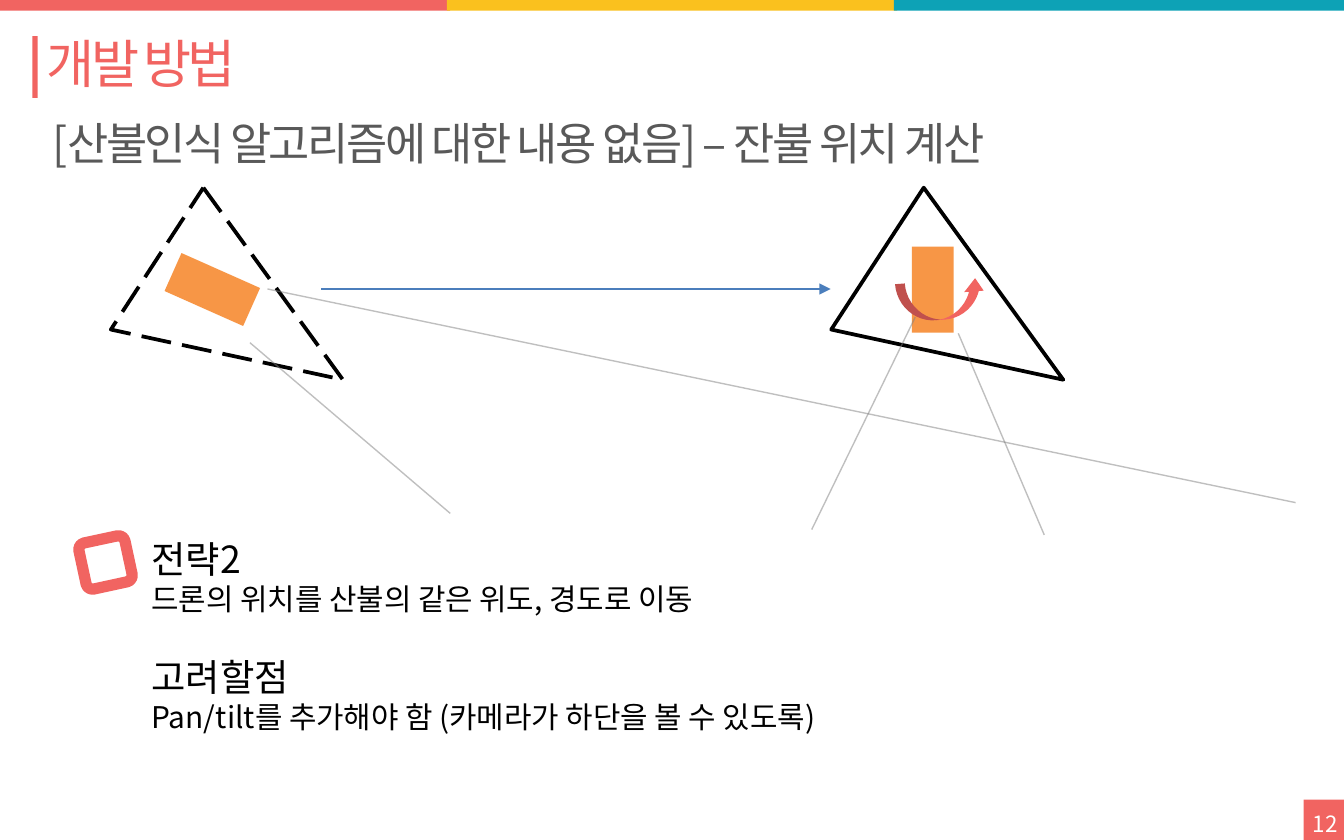
from dataclasses import dataclass
from typing import Optional

from lxml.etree import SubElement
from pptx import Presentation
from pptx.dml.color import RGBColor
from pptx.enum.dml import MSO_LINE
from pptx.enum.shapes import MSO_CONNECTOR, MSO_SHAPE
from pptx.enum.text import MSO_ANCHOR, MSO_AUTO_SIZE, PP_ALIGN
from pptx.oxml.ns import qn
from pptx.util import Inches, Pt

FONT = "Noto Sans CJK KR"
CORAL = RGBColor(0xF1, 0x64, 0x61)
YELLOW = RGBColor(0xFA, 0xC1, 0x1E)
TEAL = RGBColor(0x0D, 0xA2, 0xB6)
ORANGE = RGBColor(0xF7, 0x96, 0x46)
BLUE = RGBColor(0x4B, 0x7E, 0xBC)
GRAY = RGBColor(0x80, 0x80, 0x80)
DARK_GRAY = RGBColor(0x59, 0x59, 0x59)
BLACK = RGBColor(0, 0, 0)
WHITE = RGBColor(0xFF, 0xFF, 0xFF)


@dataclass
class Box:
    left: float
    top: float
    width: float
    height: float


@dataclass
class Line:
    text: str
    size: float
    color: RGBColor = BLACK
    tracking: float = 0
    before: float = 0


@dataclass
class Drone:
    left: float
    camera_angle: float
    dash: Optional[MSO_LINE] = None


@dataclass
class Ray:
    x1: float
    y1: float
    x2: float
    y2: float


def add_shape(s, kind: MSO_SHAPE, box: Box, fill: Optional[RGBColor] = None,
              line: Optional[RGBColor] = None, width: float = 0, rotation: float = 0):
    sp = s.shapes.add_shape(kind, Inches(box.left), Inches(box.top),
                            Inches(box.width), Inches(box.height))
    sp.shadow.inherit = False
    sp.rotation = rotation
    if fill is None:
        sp.fill.background()
    else:
        sp.fill.solid()
        sp.fill.fore_color.rgb = fill
    if line is None:
        sp.line.fill.background()
    else:
        sp.line.color.rgb = line
        sp.line.width = Pt(width)
    return sp


def add_text(s, box: Box, lines: list[Line], wrap: bool = True):
    sp = s.shapes.add_textbox(Inches(box.left), Inches(box.top),
                              Inches(box.width), Inches(box.height))
    tf = sp.text_frame
    tf.word_wrap = wrap
    tf.auto_size = MSO_AUTO_SIZE.SHAPE_TO_FIT_TEXT
    for i, line in enumerate(lines):
        p = tf.add_paragraph() if i else tf.paragraphs[0]
        p.text = line.text
        if line.before:
            p.space_before = Pt(line.before)
        r = p.runs[0]
        r.font.size = Pt(line.size)
        r.font.color.rgb = line.color
        r.font.name = FONT
        rpr = r.font._element
        SubElement(rpr, qn("a:ea")).set("typeface", FONT)
        if line.tracking:
            rpr.set("spc", str(round(line.tracking * 100)))
    return tf


def add_line(s, ray: Ray, color: RGBColor, width: float):
    c = s.shapes.add_connector(MSO_CONNECTOR.STRAIGHT, Inches(ray.x1), Inches(ray.y1),
                               Inches(ray.x2), Inches(ray.y2))
    c.line.color.rgb = color
    c.line.width = Pt(width)
    SubElement(c._element.spPr, qn("a:effectLst"))
    return c


def add_drone(s, drone: Drone):
    """Draw a triangular drone body with its camera."""
    body = add_shape(s, MSO_SHAPE.ISOSCELES_TRIANGLE, Box(drone.left, 1.55, 1.26, 1.65),
                     line=BLACK, width=2, rotation=123.1)
    if drone.dash:
        body.line.dash_style = drone.dash
    add_shape(s, MSO_SHAPE.RECTANGLE, Box(drone.left + 0.03, 2, 0.64, 0.31),
              ORANGE, rotation=drone.camera_angle)


def add_sight_line(s, ray: Ray):
    c = add_line(s, ray, GRAY, 0.75)
    color = c.line._ln.find(qn("a:solidFill"))[0]
    SubElement(color, qn("a:alpha")).set("val", "50000")


def add_frame(s):
    """Draw the top band, the title and the page number."""
    add_shape(s, MSO_SHAPE.RECTANGLE, Box(9.7, 5.95, 0.3, 0.3), CORAL)
    for i, color in enumerate((CORAL, YELLOW, TEAL)):
        add_shape(s, MSO_SHAPE.RECTANGLE, Box(i * 3.325, 0, 3.35, 0.08), color)
    add_shape(s, MSO_SHAPE.RECTANGLE, Box(0.03, 0.48, 0.46, 0.04), CORAL, rotation=90)
    tf = add_text(s, Box(9.57, 5.96, 0.48, 0.33), [Line("12", 12, WHITE)])
    tf.auto_size = MSO_AUTO_SIZE.NONE
    tf.vertical_anchor = MSO_ANCHOR.MIDDLE
    tf.paragraphs[0].alignment = PP_ALIGN.RIGHT
    add_text(s, Box(0.25, 0.18, 1.63, 0.57), [Line("개발 방법", 28, CORAL, -2)], wrap=False)
    add_text(s, Box(0.29, 0.81, 8.1, 0.5),
             [Line("[산불인식 알고리즘에 대한 내용 없음] – 잔불 위치 계산", 24, DARK_GRAY, -1.3)])


def add_strategy(s):
    add_text(s, Box(1.03, 3.94, 5.33, 1.58), [
        Line("전략2", 20),
        Line("드론의 위치를 산불의 같은 위도, 경도로 이동", 16),
        Line("고려할점", 20, before=20),
        Line("Pan/tilt를 추가해야 함 (카메라가 하단을 볼 수 있도록)", 16),
    ])
    marker = add_shape(s, MSO_SHAPE.ROUNDED_RECTANGLE, Box(0.61, 4.01, 0.35, 0.35),
                       WHITE, CORAL, 6, 347.8)
    marker.adjustments[0] = 0.137


def add_diagram(s):
    for drone in (Drone(1.23, 24, MSO_LINE.LONG_DASH), Drone(6.59, 90)):
        add_drone(s, drone)
    move = add_line(s, Ray(2.39, 2.15, 6.18, 2.15), BLUE, 1.5)
    SubElement(move.line._ln, qn("a:tailEnd")).set("type", "triangle")
    for ray in (Ray(6.81, 2.36, 6.04, 3.94), Ray(1.99, 2.15, 9.64, 3.74),
                Ray(1.86, 2.55, 3.35, 3.82), Ray(7.13, 2.48, 7.77, 3.98)):
        add_sight_line(s, ray)
    turn = add_shape(s, MSO_SHAPE.CURVED_RIGHT_ARROW, Box(6.86, 1.9, 0.29, 0.67),
                     CORAL, rotation=85.7)
    for i, value in enumerate((0.25, 0.5, 0.335)):
        turn.adjustments[i] = value
    xfrm = turn._element.spPr.find(qn("a:xfrm"))
    xfrm.set("flipH", "1")
    xfrm.set("flipV", "1")


def main():
    prs = Presentation()
    prs.slide_width, prs.slide_height = Inches(10), Inches(6.25)
    s = prs.slides.add_slide(prs.slide_layouts[6])
    add_frame(s)
    add_strategy(s)
    add_diagram(s)
    prs.save("out.pptx")


if __name__ == "__main__":
    main()
